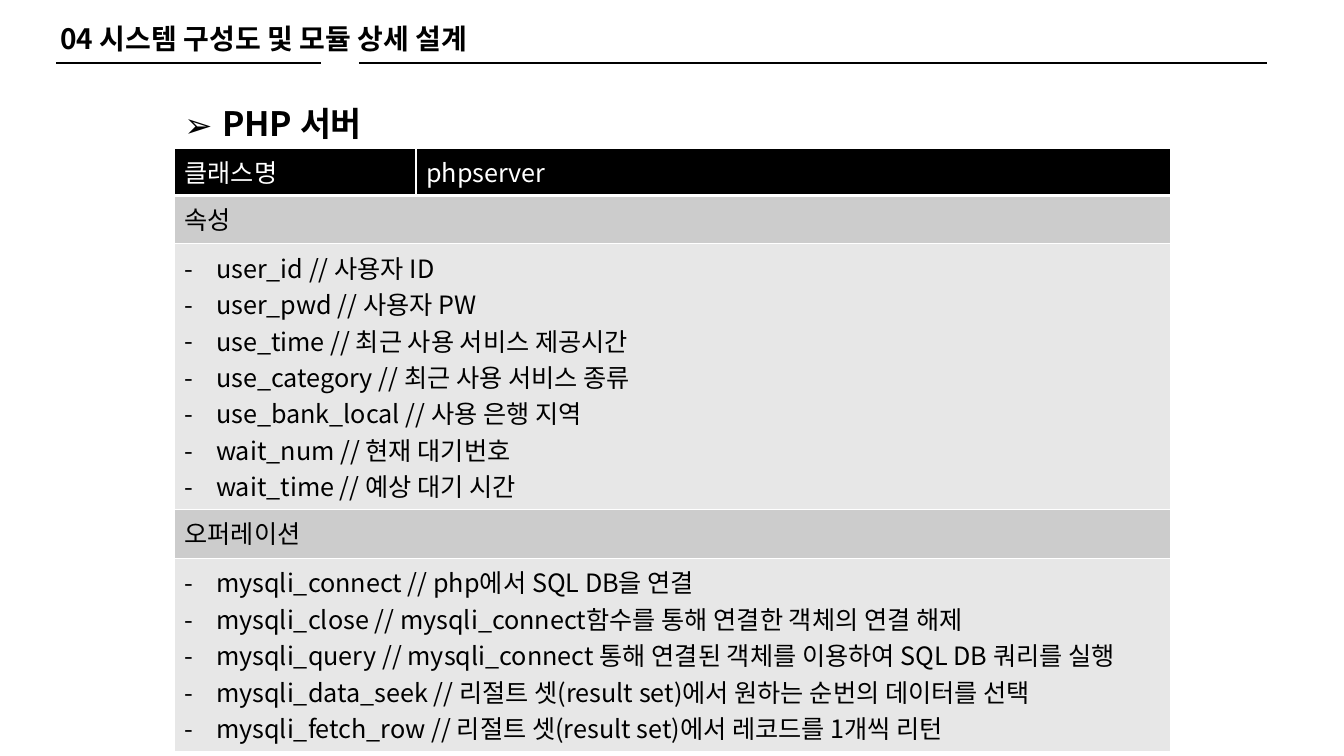
from lxml.etree import SubElement
from pptx import Presentation
from pptx.dml.color import RGBColor
from pptx.enum.shapes import MSO_CONNECTOR
from pptx.enum.text import MSO_AUTO_SIZE
from pptx.oxml import parse_xml
from pptx.oxml.ns import nsdecls, qn
from pptx.util import Pt

FONT = "Noto Sans CJK KR"
COLORS = {"ink": "000000", "paper": "FFFFFF", "band": "CCCCCC", "body": "E7E7E7"}

TITLE = "04 시스템 구성도 및 모듈 상세 설계"
HEADING = "PHP 서버"
HEAD = ["클래스명", "phpserver"]
FIELDS = [
    "user_id // 사용자 ID",
    "user_pwd // 사용자 PW",
    "use_time // 최근 사용 서비스 제공시간",
    "use_category // 최근 사용 서비스 종류",
    "use_bank_local // 사용 은행 지역",
    "wait_num // 현재 대기번호",
    "wait_time // 예상 대기 시간",
]
CALLS = [
    "mysqli_connect // php에서 SQL DB을 연결",
    "mysqli_close // mysqli_connect함수를 통해 연결한 객체의 연결 해제",
    "mysqli_query // mysqli_connect 통해 연결된 객체를 이용하여 SQL DB 쿼리를 실행",
    "mysqli_data_seek\u00a0// 리절트 셋(result\u00a0set)에서 원하는 순번의 데이터를 선택",
    "mysqli_fetch_row // 리절트 셋(result\u00a0set)에서 레코드를 1개씩 리턴",
]
# texts, fill, text colour, bullet, height
ROWS = [
    (HEAD, "ink", "paper", None, 33.8),
    (["속성"], "band", "ink", None, 34.6),
    (["\n".join(FIELDS)], "body", "ink", "-", 165),
    (["오퍼레이션"], "band", "ink", None, 35.3),
    (["\n".join(CALLS)], "body", "ink", "-", 106.6),
]
COLS = [172.6, 539]
LEFT, TOP = 124.6, 105.8
RULES = [(40.3, 229), (256.3, 905)]
RULE_Y = 44.9


def rgb(name):
    """Look up a named colour."""
    return RGBColor.from_string(COLORS[name])


def write(frame, text, size=18, color="ink", bold=False, bullet=None, indent=22.5):
    """Fill a text frame, one paragraph per line of text."""
    for i, line in enumerate(text.split("\n")):
        para = frame.paragraphs[0] if i == 0 else frame.add_paragraph()
        run = para.add_run()
        run.text = line
        font = run.font
        font.size, font.bold, font.name = Pt(size), bold, FONT
        font.color.rgb = rgb(color)
        SubElement(run._r.get_or_add_rPr(), qn("a:ea")).set("typeface", FONT)
        if bullet:
            props = para._p.get_or_add_pPr()
            props.set("marL", str(Pt(indent)))
            props.set("indent", str(-Pt(indent)))
            SubElement(props, qn("a:buFont")).set("typeface", FONT)
            SubElement(props, qn("a:buChar")).set("char", bullet)


def add_text(slide, box, text, wrap=True, **style):
    """Add a text box at box (left, top, width, height)."""
    frame = slide.shapes.add_textbox(*map(Pt, box)).text_frame
    frame.word_wrap = wrap
    frame.auto_size = MSO_AUTO_SIZE.SHAPE_TO_FIT_TEXT
    write(frame, text, **style)


def add_rule(slide, start, end):
    """Draw a level line under the title."""
    line = slide.shapes.add_connector(
        MSO_CONNECTOR.STRAIGHT, Pt(start), Pt(RULE_Y), Pt(end), Pt(RULE_Y))
    line.line.width = Pt(1.5)
    line.line.color.rgb = rgb("ink")
    SubElement(line._element.spPr, qn("a:effectLst"))


def edge(cell, foot):
    """Give a cell white borders, with the bottom one foot points wide."""
    props = cell._tc.get_or_add_tcPr()
    for i, (side, width) in enumerate([("L", 1), ("R", 1), ("T", 1), ("B", foot)]):
        props.insert(i, parse_xml(
            f'<a:ln{side} {nsdecls("a")} w="{Pt(width)}"><a:solidFill>'
            f'<a:srgbClr val="{COLORS["paper"]}"/></a:solidFill></a:ln{side}>'))


def add_grid(slide):
    """Build the class table; a row with one text spans all columns."""
    high = sum(row[-1] for row in ROWS)
    grid = slide.shapes.add_table(
        len(ROWS), len(COLS), Pt(LEFT), Pt(TOP), Pt(sum(COLS)), Pt(high)).table
    for col, width in zip(grid.columns, COLS):
        col.width = Pt(width)
    for r, (texts, fill, color, bullet, height) in enumerate(ROWS):
        grid.rows[r].height = Pt(height)
        for c in range(len(COLS)):
            cell = grid.cell(r, c)
            cell.fill.solid()
            cell.fill.fore_color.rgb = rgb(fill)
            edge(cell, 3 if r == 0 else 1)
        if len(texts) == 1:
            grid.cell(r, 0).merge(grid.cell(r, len(COLS) - 1))
        for c, text in enumerate(texts):
            write(grid.cell(r, c).text_frame, text, color=color, bullet=bullet)


deck = Presentation()
deck.slide_width, deck.slide_height = Pt(960), Pt(540)
slide = deck.slides.add_slide(deck.slide_layouts[6])
add_grid(slide)
for start, end in RULES:
    add_rule(slide, start, end)
add_text(slide, (36, 11.5, 327.6, 31.5), TITLE, size=20, bold=True)
add_text(slide, (LEFT, 69.8, 147, 36), HEADING, wrap=False,
         size=24, bold=True, bullet="➢", indent=27)
deck.save("out.pptx")
